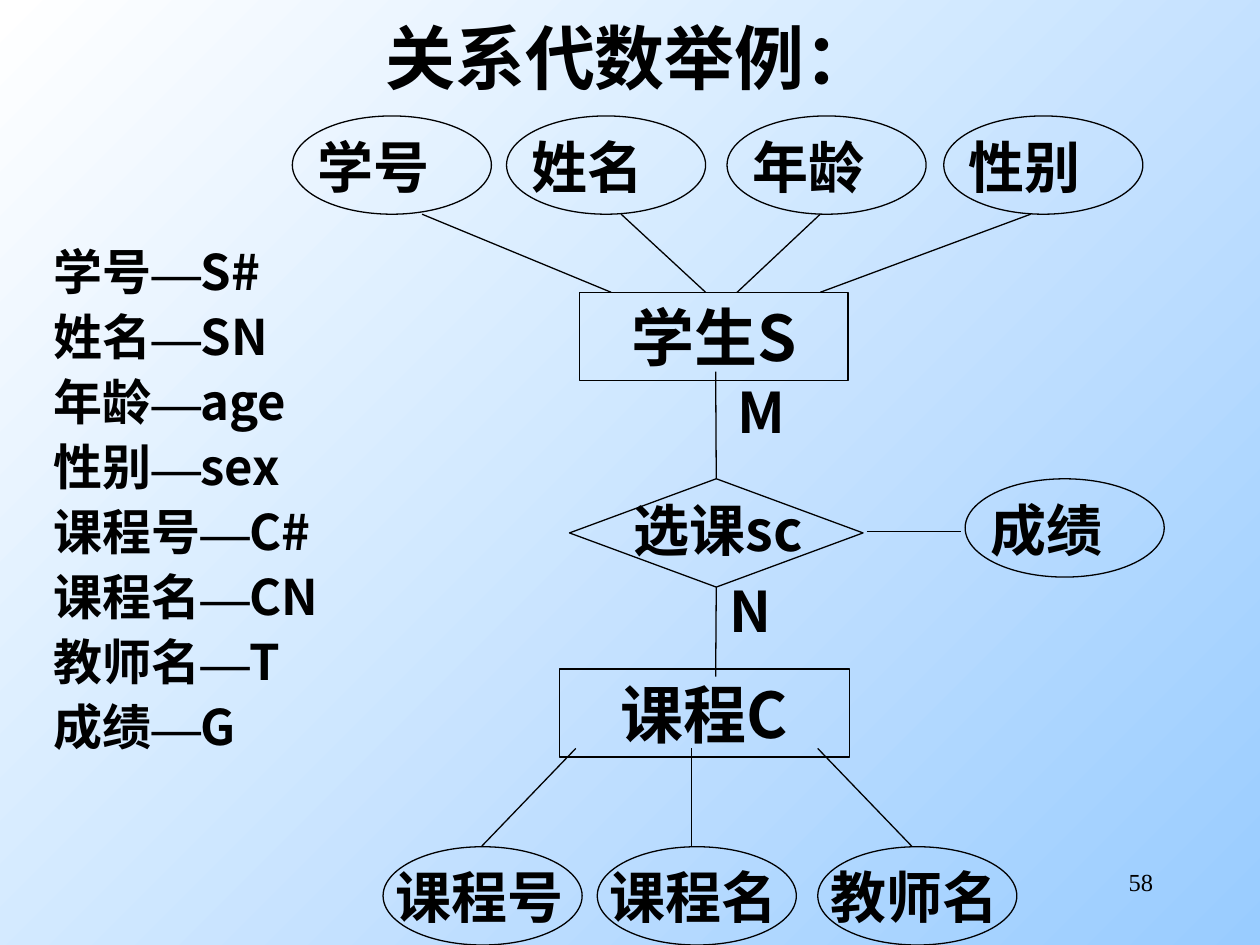
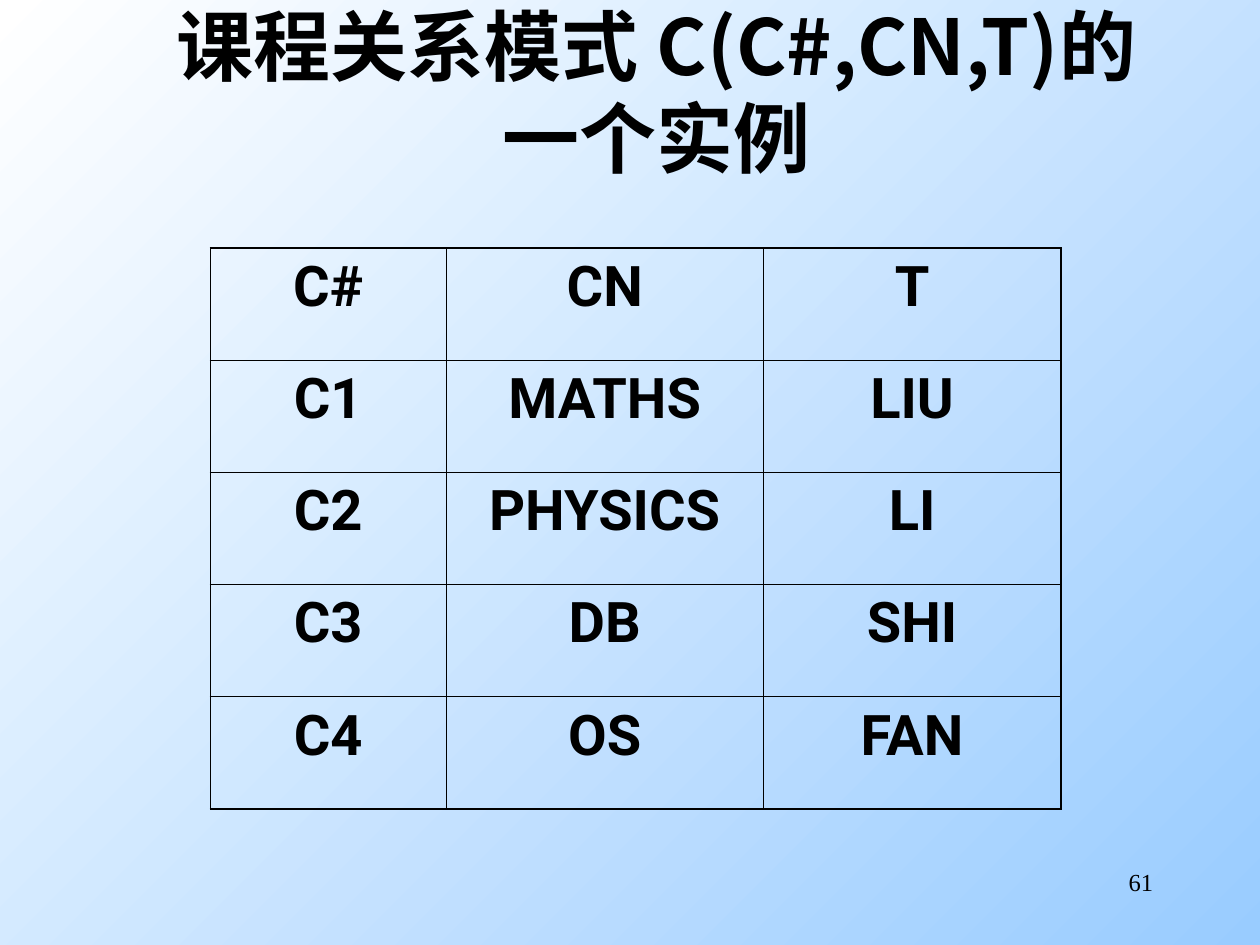
from lxml.etree import SubElement
from pptx import Presentation
from pptx.dml.color import RGBColor
from pptx.enum.shapes import MSO_CONNECTOR as LINK, MSO_SHAPE as SHAPE
from pptx.enum.text import MSO_ANCHOR as ANCHOR, MSO_AUTO_SIZE as FIT, PP_ALIGN as ALIGN
from pptx.oxml.ns import qn
from pptx.util import Inches, Pt

BLACK = RGBColor(0x00, 0x00, 0x00)
WHITE = RGBColor(0xFF, 0xFF, 0xFF)
SKY = RGBColor(0x99, 0xCC, 0xFF)
HAN, SERIF, SANS = "Noto Sans CJK SC", "Times New Roman", "Roboto"
OVAL_WIDTH, OVAL_HEIGHT = 1.58, 0.78
ENTITY_HEIGHT = 0.7
THIN, OUTER = 0.45, 1.08


# Shared helpers
def write(frame, paragraphs, size=32, font=HAN, bold=True, align=ALIGN.LEFT,
          anchor=ANCHOR.TOP, grow=True, gap=0):
    """Each paragraph is a string or a list of (text, font) pairs."""
    frame.word_wrap = True
    frame.vertical_anchor = anchor
    frame.auto_size = FIT.SHAPE_TO_FIT_TEXT if grow else FIT.NONE
    for index, pieces in enumerate(paragraphs):
        para = frame.add_paragraph() if index else frame.paragraphs[0]
        para.alignment = align
        if index and gap:
            para.space_before = Pt(gap)
        if isinstance(pieces, str):
            pieces = [(pieces, font)]
        for text, face in pieces:
            span = para.add_run()
            span.text = text
            span.font.name = face
            span.font.size = Pt(size)
            span.font.bold = bold
            span.font.color.rgb = BLACK
            east_asian = SubElement(span.font._element, qn("a:ea"))
            east_asian.set("typeface", face)


def add_text(page, left, top, width, height, *paragraphs, **format):
    box = page.shapes.add_textbox(Inches(left), Inches(top), Inches(width), Inches(height))
    write(box.text_frame, paragraphs, **format)
    return box


def add_outline(page, kind, left, top, width, height):
    shape = page.shapes.add_shape(kind, Inches(left), Inches(top), Inches(width), Inches(height))
    shape.shadow.inherit = False
    shape.fill.background()
    shape.line.color.rgb = BLACK
    shape.line.width = Pt(0.75)
    return shape


def add_line(page, x1, y1, x2, y2):
    line = page.shapes.add_connector(LINK.STRAIGHT, Inches(x1), Inches(y1), Inches(x2), Inches(y2))
    line.line.color.rgb = BLACK
    line.line.width = Pt(0.75)
    SubElement(line._element.spPr, qn("a:effectLst"))
    return line


def paint_background(master):
    fill = master.background.fill
    fill.gradient()
    fill.gradient_angle = 315
    for stop, position, color in zip(fill.gradient_stops, (0, 1), (WHITE, SKY)):
        stop.position = position
        stop.color.rgb = color


def add_page(deck, number):
    page = deck.slides.add_slide(deck.slide_layouts[6])
    add_text(page, 7.17, 6.83, 2.08, 0.5, str(number), size=14, font=SERIF,
             bold=False, align=ALIGN.RIGHT, grow=False)
    return page


def add_title(page, left, top, width, height, text, size, anchor):
    add_text(page, left, top, width, height, text, size=size, anchor=anchor,
             align=ALIGN.CENTER, grow=False)


# Entity-relationship diagram
def add_attribute(page, left, top, label):
    add_outline(page, SHAPE.OVAL, left, top, OVAL_WIDTH, OVAL_HEIGHT)
    add_text(page, left, top + 0.08, 1.67, 0.64, label)


def add_entity(page, left, top, name, box, oval_top, attributes, link_ys, link_xs):
    """An entity with its row of attributes; all offsets start at left, top."""
    box_left, box_top, box_width = box
    entity = add_outline(page, SHAPE.RECTANGLE, left + box_left, top + box_top,
                         box_width, ENTITY_HEIGHT)
    write(entity.text_frame, [name], size=36, align=ALIGN.CENTER)
    for offset, label in attributes:
        add_attribute(page, left + offset, top + oval_top, label)
    start_y, end_y = link_ys
    for start_x, end_x in link_xs:
        add_line(page, left + start_x, top + start_y, left + end_x, top + end_y)


def add_enrolment(page, left, top):
    diamond = add_outline(page, SHAPE.FLOWCHART_DECISION, left, top + 0.85, 2.33, 0.86)
    add_text(page, left + 0.41, top + 0.93, 1.58, 1.17, "选课sc")
    add_attribute(page, left + 3.14, top + 0.85, " 成绩")
    middle = left + 1.16
    add_line(page, middle, top, middle, top + 0.85).end_connect(diamond, 0)
    add_line(page, middle, top + 1.71, middle, top + 2.42).begin_connect(diamond, 2)
    add_line(page, left + 2.36, top + 1.27, left + 3.11, top + 1.27)
    for x, y, cardinality in ((1.15, 0, "M"), (1.06, 1.58, "N")):
        add_text(page, left + x, top + y, 0.75, 0.64, cardinality, align=ALIGN.CENTER)


def add_legend(page, left, top, width, height):
    symbols = {"学号": "S#", "姓名": "SN", "年龄": "age", "性别": "sex",
               "课程号": "C#", "课程名": "CN", "教师名": "T", "成绩": "G"}
    lines = [[(name, HAN), ("—", SERIF), (symbol, HAN)] for name, symbol in symbols.items()]
    add_text(page, left, top, width, height, *lines, size=28, gap=3.5)


def build_diagram_page(deck):
    page = add_page(deck, 58)
    add_title(page, 0.75, 0.13, 8.5, 0.64, "关系代数举例：", 40, ANCHOR.MIDDLE)
    add_entity(page, 3.04, 5.31, "课程C", box=(1.4, 0, 2.3), oval_top=1.41,
               attributes=[(0, "课程号"), (1.7, "课程名"), (3.45, "教师名")],
               link_ys=(0.63, 1.41),
               link_xs=[(1.53, 0.78), (2.45, 2.45), (3.45, 4.2)])
    add_entity(page, 2.32, 0.92, "学生S", box=(2.28, 1.4, 2.13), oval_top=0,
               attributes=[(0, " 学号"), (1.7, " 姓名"), (3.45, " 年龄"), (5.17, " 性别")],
               link_ys=(0.78, 1.4),
               link_xs=[(1.03, 2.53), (2.61, 3.28), (4.19, 3.53), (5.86, 4.19)])
    add_enrolment(page, 4.52, 2.95)
    add_legend(page, 0.33, 1.87, 2.33, 4.18)


# Course table
def set_border(cell, side, width):
    border = SubElement(cell._tc.get_or_add_tcPr(), qn(f"a:ln{side}"), w=str(Pt(width)))
    fill = SubElement(border, qn("a:solidFill"))
    SubElement(fill, qn("a:srgbClr"), val=str(BLACK))


def add_course_table(page, left, top, widths, row_height, rows):
    frame = page.shapes.add_table(len(rows), len(widths), Inches(left), Inches(top),
                                  Inches(sum(widths)), Inches(row_height * len(rows)))
    table = frame.table
    table.first_row = table.horz_banding = False
    for column, width in zip(table.columns, widths):
        column.width = Inches(width)
    last_row, last_column = len(rows) - 1, len(widths) - 1
    for r, values in enumerate(rows):
        table.rows[r].height = Inches(row_height)
        for c, value in enumerate(values):
            cell = table.cell(r, c)
            edges = {"L": c == 0, "R": c == last_column, "T": r == 0, "B": r == last_row}
            for side, is_outer in edges.items():
                set_border(cell, side, OUTER if is_outer else THIN)
            cell.fill.background()
            cell.margin_left = cell.margin_right = Inches(0.1)
            cell.margin_top = cell.margin_bottom = Inches(0.05)
            write(cell.text_frame, [value], font=SANS, align=ALIGN.CENTER, grow=False)


def build_table_page(deck):
    page = add_page(deck, 61)
    add_course_table(page, 1.67, 1.97, (1.87, 2.52, 2.36), 0.89, [
        ("C#", "CN", "T"),
        ("C1", "MATHS", "LIU"),
        ("C2", "PHYSICS", "LI"),
        ("C3", "DB", "SHI"),
        ("C4", "OS", "FAN"),
    ])
    add_title(page, 1.25, 0.92, 7.92, 0.58, "课程关系模式 C(C#,CN,T)的一个实例",
              44, ANCHOR.BOTTOM)


def main():
    deck = Presentation()
    deck.slide_width, deck.slide_height = Inches(10), Inches(7.5)
    paint_background(deck.slide_master)
    build_diagram_page(deck)
    build_table_page(deck)
    deck.save("out.pptx")


if __name__ == "__main__":
    main()
